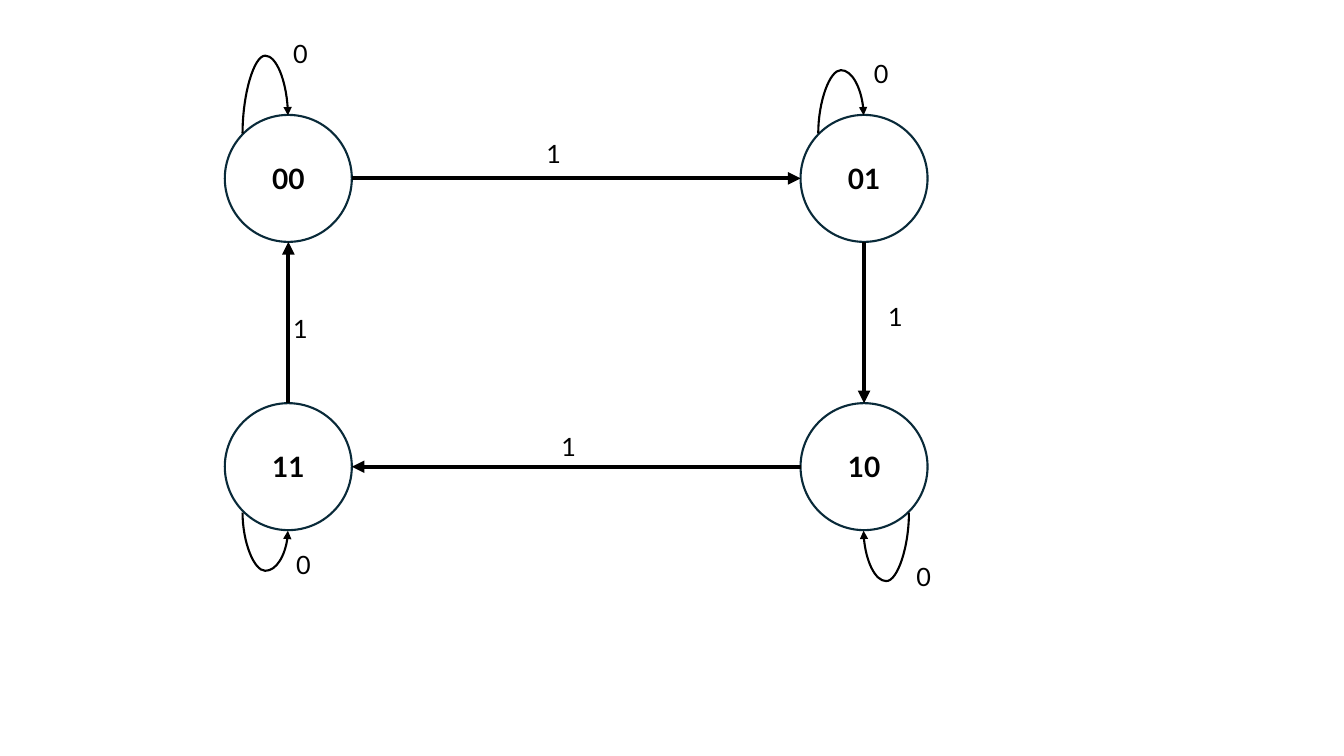
from pptx import Presentation
from pptx.dml.color import RGBColor
from pptx.enum.shapes import MSO_CONNECTOR, MSO_SHAPE
from pptx.enum.text import MSO_ANCHOR, MSO_AUTO_SIZE, PP_ALIGN
from pptx.oxml.ns import qn
from pptx.util import Pt
from lxml import etree

STRAIGHT, CURVE = MSO_CONNECTOR.STRAIGHT, MSO_CONNECTOR.CURVE
OVAL = MSO_SHAPE.OVAL
MIDDLE, CENTER = MSO_ANCHOR.MIDDLE, PP_ALIGN.CENTER
FIT_SHAPE = MSO_AUTO_SIZE.SHAPE_TO_FIT_TEXT
PX = 9144  # 100 px to the inch
FONT = "Lato"
BLACK, OUTLINE = "000000", "092A39"


def color(target, value):
    target.rgb = RGBColor.from_string(value)


def add_arrow(kind, x1, y1, x2, y2, weight):
    arrow = slide.shapes.add_connector(kind, x1 * PX, y1 * PX, x2 * PX, y2 * PX)
    color(arrow.line.color, BLACK)
    arrow.line.width = Pt(weight)
    properties = arrow._element.spPr
    etree.SubElement(properties.find(qn("a:ln")), qn("a:tailEnd"), type="triangle")
    etree.SubElement(properties, qn("a:effectLst"))
    return arrow


presentation = Presentation()
presentation.slide_width = 1333 * PX
presentation.slide_height = 750 * PX
slide = presentation.slides.add_slide(presentation.slide_layouts[6])

# States, by centre
RADIUS = 63
LEFT, RIGHT, TOP, BOTTOM = 286, 857, 177, 463
states = {"00": (LEFT, TOP), "01": (RIGHT, TOP),
          "10": (RIGHT, BOTTOM), "11": (LEFT, BOTTOM)}
for name, (x, y) in states.items():
    state = slide.shapes.add_shape(OVAL, (x - RADIUS) * PX, (y - RADIUS) * PX,
                                   2 * RADIUS * PX, 2 * RADIUS * PX)
    state.shadow.inherit = False
    state.fill.background()
    color(state.line.color, OUTLINE)
    state.line.width = Pt(1.5)
    state.text_frame.text = name
    state.text_frame.vertical_anchor = MIDDLE
    paragraph = state.text_frame.paragraphs[0]
    paragraph.alignment = CENTER
    font = paragraph.runs[0].font
    font.name, font.size, font.bold = FONT, Pt(20), True
    color(font.color, BLACK)

# Transitions on 1, clockwise from rim to rim
names = list(states)
for start, end in zip(names, names[1:] + names[:1]):
    (x1, y1), (x2, y2) = states[start], states[end]
    step_x = RADIUS * ((x2 > x1) - (x2 < x1))
    step_y = RADIUS * ((y2 > y1) - (y2 < y1))
    add_arrow(STRAIGHT, x1 + step_x, y1 + step_y, x2 - step_x, y2 - step_y, 3)

# Self-loops on 0: offset from centre, flips, turn in degrees, bulge
LOOP_WIDTH, LOOP_HEIGHT = 18, 45
loops = [
    ("00", -32, -76, True, True, 90, 429500),
    ("01", -32, -76, True, True, 90, 349600),
    ("10", 13, 32, False, False, 90, 378100),
    ("11", -32, 32, True, False, 270, 321100),
]
for name, offset_x, offset_y, flip_x, flip_y, turn, bulge in loops:
    x1, y1 = states[name][0] + offset_x, states[name][1] + offset_y
    x2, y2 = x1 + LOOP_WIDTH, y1 + LOOP_HEIGHT
    if flip_x:
        x1, x2 = x2, x1
    if flip_y:
        y1, y2 = y2, y1
    loop = add_arrow(CURVE, x1, y1, x2, y2, 1.5)
    properties = loop._element.spPr
    properties.find(qn("a:xfrm")).set("rot", str(turn * 60000))
    geometry = properties.find(qn("a:prstGeom"))
    adjustments = geometry.find(qn("a:avLst"))
    if adjustments is None:
        adjustments = etree.SubElement(geometry, qn("a:avLst"))
    etree.SubElement(adjustments, qn("a:gd"), name="adj1", fmla=f"val {bulge}")

# Input labels
labels = [
    ("1", 532, 132), ("1", 871, 294), ("1", 547, 423), ("1", 281, 306),
    ("0", 281, 33), ("0", 857, 53), ("0", 899, 552), ("0", 284, 540),
]
for text, x, y in labels:
    label = slide.shapes.add_textbox(x * PX, y * PX, 34 * PX, 40 * PX)
    label.text_frame.text = text
    label.text_frame.word_wrap = False
    label.text_frame.auto_size = FIT_SHAPE
    font = label.text_frame.paragraphs[0].runs[0].font
    font.name, font.size = FONT, Pt(18)
    color(font.color, BLACK)

presentation.save("out.pptx")
